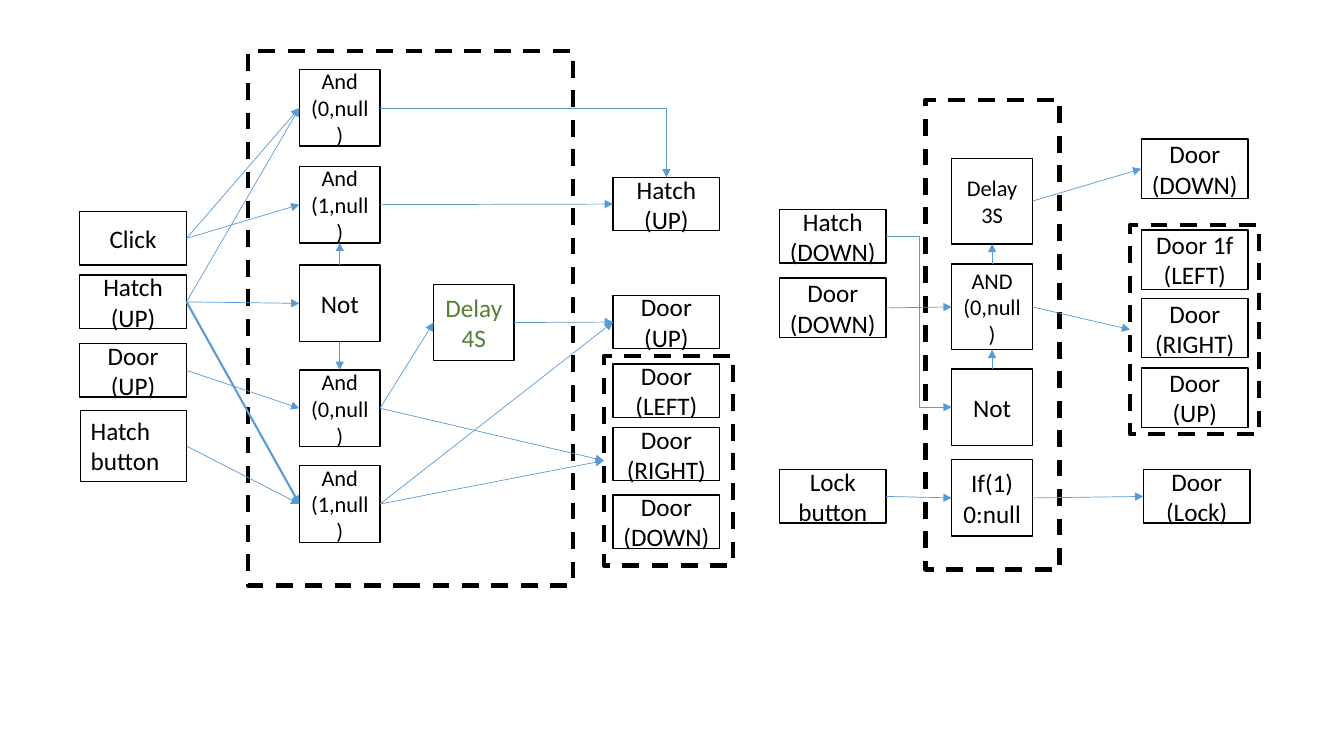
"""Build the logic diagram for the hatch, door and lock controls."""
from dataclasses import dataclass
from lxml import etree
from pptx import Presentation
from pptx.dml.color import RGBColor
from pptx.enum.dml import MSO_LINE
from pptx.enum.shapes import MSO_CONNECTOR, MSO_SHAPE
from pptx.enum.text import MSO_ANCHOR, MSO_AUTO_SIZE, PP_ALIGN
from pptx.oxml.ns import qn
from pptx.util import Inches, Pt


@dataclass(frozen=True)
class Theme:
    """Colours, font and sizes."""
    ink: RGBColor = RGBColor.from_string("000000")
    paper: RGBColor = RGBColor.from_string("FFFFFF")
    green: RGBColor = RGBColor.from_string("548235")
    blue: RGBColor = RGBColor.from_string("5B9BD5")
    font: str = "Calibri"
    big: int = 18
    small: int = 16


theme = Theme()
deck = Presentation()
deck.slide_width, deck.slide_height = Inches(13.33), Inches(7.5)
slide = deck.slides.add_slide(deck.slide_layouts[6])
nodes = {}


def add_box(name, left, top, width, height, text="", size=theme.big, weight=1):
    """Add an outlined box and keep it under its name."""
    box = slide.shapes.add_shape(MSO_SHAPE.RECTANGLE, Inches(left), Inches(top),
                                 Inches(width), Inches(height))
    box.shadow.inherit = False
    box.fill.background()
    box.line.color.rgb = theme.ink
    box.line.width = Pt(weight)
    if text:
        box.text_frame.text = text
        box.text_frame.word_wrap = True
        box.text_frame.vertical_anchor = MSO_ANCHOR.MIDDLE
        for para in box.text_frame.paragraphs:
            para.alignment = PP_ALIGN.CENTER
            for run in para.runs:
                run.font.name = theme.font
                run.font.size = Pt(size)
                run.font.color.rgb = theme.ink
    nodes[name] = box
    return box


def add_link(start, end, exit=3, entry=1, weight=0.5, kind=MSO_CONNECTOR.STRAIGHT):
    """Join two boxes with an arrow."""
    link = slide.shapes.add_connector(kind, 0, 0, 0, 0)
    link.begin_connect(nodes[start], exit)
    link.end_connect(nodes[end], entry)
    link.line.color.rgb = theme.blue
    link.line.width = Pt(weight)
    props = link.element.spPr
    etree.SubElement(props.find(qn("a:ln")), qn("a:tailEnd"), type="triangle")
    etree.SubElement(props, qn("a:effectLst"))
    return link


ports = [
    (0.79, 0.53, [("click", 2.1, "Click"), ("hatch in", 2.73, "Hatch\n(UP)"),
                  ("door in", 3.41, "Door\n(UP)")]),
    (6.08, 0.53, [("hatch up", 1.76, "Hatch\n(UP)"), ("door up", 2.93, "Door\n(UP)"),
                  ("left", 3.61, "Door\n(LEFT)"), ("right", 4.24, "Door\n(RIGHT)"),
                  ("down", 4.91, "Door\n(DOWN)")]),
    (7.73, 0.53, [("hatch down", 2.08, "Hatch\n(DOWN)"), ("lock in", 4.66, "Lock\nbutton")]),
    (7.73, 0.59, [("door down", 2.76, "Door (DOWN)")]),
    (11.32, 0.59, [("down out", 1.38, "Door (DOWN)"), ("left out", 2.28, "Door 1f\n(LEFT)"),
                   ("right out", 2.96, "Door (RIGHT)"), ("up out", 3.65, "Door (UP)")]),
    (11.34, 0.53, [("lock out", 4.66, "Door\n(Lock)")]),
]
for left, height, rows in ports:
    for name, top, text in rows:
        add_box(name, left, top, 1.06, height, text)

gates = [
    (2.97, 0.76, theme.small, [("and 1", 0.69, "And\n(0,null)"), ("and 2", 1.65, "And\n(1,null)"),
                               ("and 3", 3.67, "And\n(0,null)"), ("and 4", 4.62, "And\n(1,null)")]),
    (2.97, 0.76, theme.big, [("not", 2.63, "Not")]),
    (4.3, 0.76, theme.big, [("delay 4", 2.82, "Delay\v4S")]),
    (9.44, 0.85, theme.small, [("delay 3", 1.57, "Delay\v3S"), ("and 5", 2.62, "AND\n(0,null)")]),
    (9.44, 0.76, theme.big, [("not 2", 3.66, "Not"), ("if", 4.56, "If(1)\n0:null")]),
]
for left, height, size, rows in gates:
    for name, top, text in rows:
        add_box(name, left, top, 0.8, height, text, size)

for run in nodes["delay 4"].text_frame.paragraphs[0].runs:
    run.font.color.rgb = theme.green

button = add_box("button", 0.8, 4.07, 1.05, 0.71, "Hatch button")
button.fill.solid()
button.fill.fore_color.rgb = theme.paper
button.text_frame.vertical_anchor = MSO_ANCHOR.TOP
button.text_frame.auto_size = MSO_AUTO_SIZE.SHAPE_TO_FIT_TEXT
button.text_frame.paragraphs[0].alignment = PP_ALIGN.LEFT

frames = [("logic", 2.46, 0.51, 3.22, 5.3), ("logic 2", 9.18, 0.99, 1.33, 4.66),
          ("doors", 5.99, 3.53, 1.28, 2.08), ("doors 2", 11.21, 2.23, 1.28, 2.08)]
for name, *place in frames:
    add_box(name, *place, weight=3).line.dash_style = MSO_LINE.DASH

across = [
    ("click", "and 1"), ("click", "and 2"), ("hatch in", "and 1"), ("hatch in", "not"),
    ("door in", "and 3"), ("button", "and 4"), ("and 2", "hatch up"), ("and 3", "delay 4"),
    ("and 3", "doors"), ("and 4", "doors"), ("and 4", "door up"), ("delay 4", "door up"),
    ("door down", "and 5"), ("delay 3", "down out"), ("and 5", "doors 2"),
    ("lock in", "if"), ("if", "lock out"),
]
for start, end in across:
    add_link(start, end)
add_link("hatch in", "and 4", weight=1.5)

for start, end in [("not", "and 2"), ("not 2", "and 5"), ("and 5", "delay 3")]:
    add_link(start, end, 0, 2)
add_link("not", "and 3", 2, 0)

add_link("hatch down", "not 2", kind=MSO_CONNECTOR.ELBOW)
corner = add_link("and 1", "hatch up", 3, 0, kind=MSO_CONNECTOR.ELBOW)
corner.element.spPr.find(qn("a:prstGeom")).set("prst", "bentConnector2")

deck.save("out.pptx")
